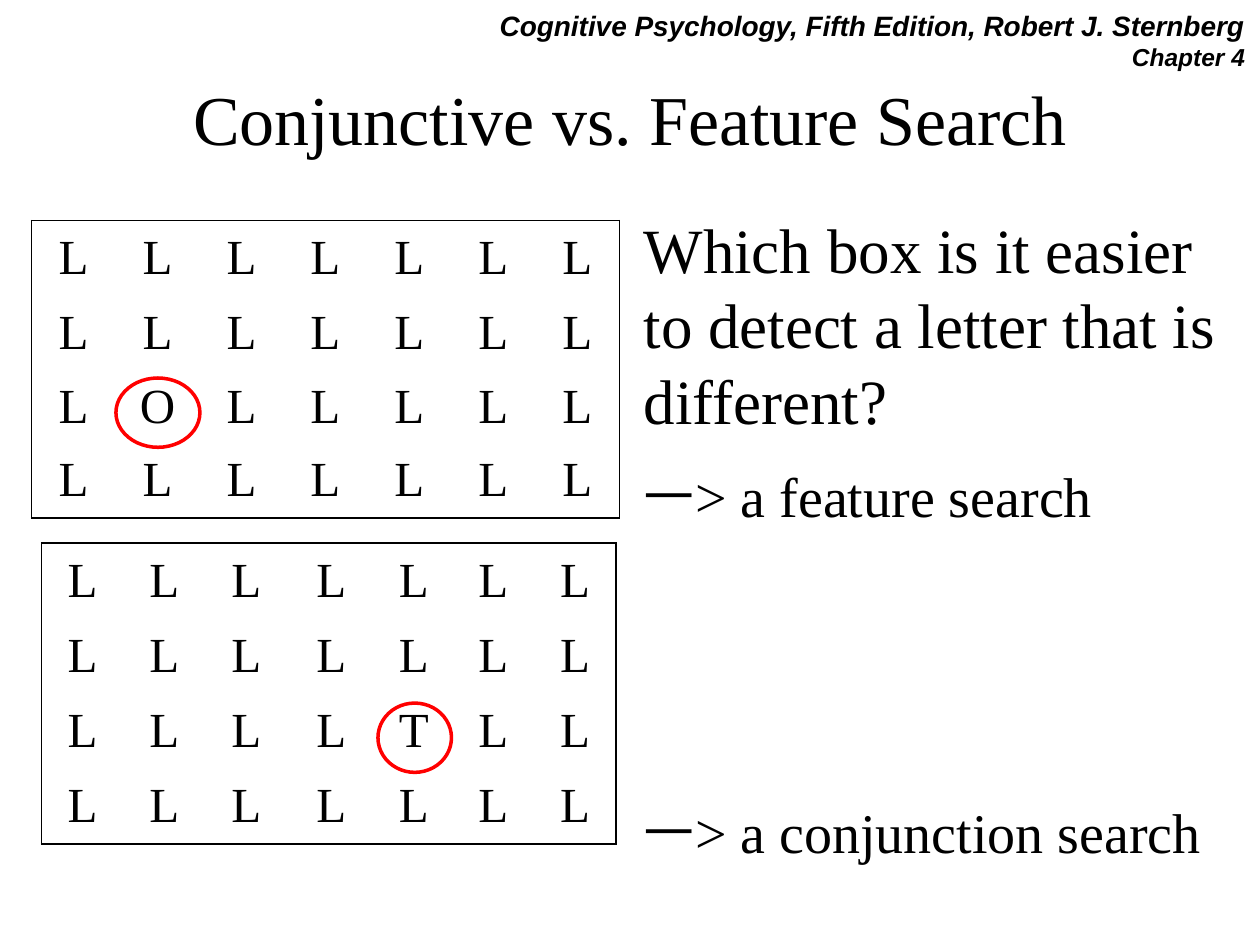
from lxml.etree import SubElement
from pptx import Presentation
from pptx.dml.color import RGBColor
from pptx.enum.shapes import MSO_SHAPE
from pptx.enum.text import MSO_ANCHOR, PP_ALIGN
from pptx.oxml.ns import qn
from pptx.util import Pt

THEME = {
    "ink": "000000", "ring": "FF0000",
    "serif": "Times New Roman", "sans": "Arial",
    "title": 40, "question": 36, "answer": 32, "letter": 28,
    "header": 16, "chapter": 14,
    "border": 1, "ring_width": 2, "leading": 1.2,
}

HEADER = [
    ("Cognitive Psychology, Fifth Edition, Robert J. Sternberg", "header"),
    ("Chapter 4", "chapter"),
]
TITLE = "Conjunctive vs. Feature Search"
DISCUSSION = [
    ("Which box is it easier to detect a letter that is different?", "question", 0),
    ("ㅡ> a feature search", "answer", 14),
    ("ㅡ> a conjunction search", "answer", 153.6),
]
SEARCH_BOXES = [
    {
        "letters": ["LLLLLLL", "LLLLLLL", "LLLLTLL", "LLLLLLL"],
        "left": 23.75, "top": 310.3,
        "columns": [46.8, 46.8, 46.8, 50.4, 43.9, 46.8, 46.8],
        "rows": [43] * 4,
        "ring": (216, 401.75, 42, 39.6),
    },
    {
        "letters": ["LLLLLLL", "LLLLLLL", "LOLLLLL", "LLLLLLL"],
        "left": 18, "top": 126,
        "columns": [48] * 7,
        "rows": [43, 43, 41, 43],
        "ring": (66.25, 216, 48, 39.6),
    },
]


def points(values):
    return [Pt(value) for value in values]


def style_paragraph(paragraph, text, size, family="serif", alignment=PP_ALIGN.LEFT):
    paragraph.text = text
    paragraph.alignment = alignment
    paragraph.font.name = THEME[family]
    paragraph.font.size = Pt(THEME[size])
    paragraph.font.color.rgb = RGBColor.from_string(THEME["ink"])


def fill_frame(frame, count, anchor=MSO_ANCHOR.TOP):
    frame.word_wrap = True
    frame.vertical_anchor = anchor
    for _ in range(count - 1):
        frame.add_paragraph()
    return frame.paragraphs


def add_header(slide):
    box = slide.shapes.add_textbox(*points((4.3, 1.4, 714.25, 48.25)))
    paragraphs = fill_frame(box.text_frame, len(HEADER))
    for paragraph, (text, size) in zip(paragraphs, HEADER):
        style_paragraph(paragraph, text, size, "sans", PP_ALIGN.RIGHT)
        paragraph.font.bold = paragraph.font.italic = True


def add_title(slide):
    box = slide.shapes.add_textbox(*points((54, 40.3, 612, 54)))
    paragraph = fill_frame(box.text_frame, 1, MSO_ANCHOR.MIDDLE)[0]
    style_paragraph(paragraph, TITLE, "title", alignment=PP_ALIGN.CENTER)


def add_discussion(slide):
    panel = slide.shapes.add_shape(
        MSO_SHAPE.ROUNDED_RECTANGLE, *points((341.3, 97.2, 397.4, 459.4)))
    panel.shadow.inherit = False
    panel.fill.background()
    panel.line.fill.background()
    paragraphs = fill_frame(panel.text_frame, len(DISCUSSION))
    for paragraph, (text, size, space) in zip(paragraphs, DISCUSSION):
        style_paragraph(paragraph, text, size)
        paragraph.line_spacing = Pt(THEME[size] * THEME["leading"])
        paragraph.space_before = Pt(space)


def set_border(cell, side, visible):
    properties = cell._tc.get_or_add_tcPr()
    line = SubElement(properties, qn(f"a:ln{side}"), w=str(Pt(THEME["border"])))
    if visible:
        fill = SubElement(line, qn("a:solidFill"))
        SubElement(fill, qn("a:srgbClr"), val=THEME["ink"])
    else:
        SubElement(line, qn("a:noFill"))


def add_search_box(slide, box):
    columns, rows = box["columns"], box["rows"]
    frame = slide.shapes.add_table(
        len(rows), len(columns),
        *points((box["left"], box["top"], sum(columns), sum(rows))))
    table = frame.table
    table.first_row = table.horz_banding = False
    for column, width in zip(table.columns, columns):
        column.width = Pt(width)
    for row, height in zip(table.rows, rows):
        row.height = Pt(height)
    for i, letters in enumerate(box["letters"]):
        for j, letter in enumerate(letters):
            cell = table.cell(i, j)
            cell.vertical_anchor = MSO_ANCHOR.MIDDLE
            style_paragraph(cell.text_frame.paragraphs[0], letter, "letter",
                            alignment=PP_ALIGN.CENTER)
            outer = {"L": j == 0, "R": j == len(columns) - 1,
                     "T": i == 0, "B": i == len(rows) - 1}
            for side, visible in outer.items():
                set_border(cell, side, visible)
            cell.fill.background()


def add_ring(slide, bounds):
    ring = slide.shapes.add_shape(MSO_SHAPE.OVAL, *points(bounds))
    ring.shadow.inherit = False
    ring.fill.background()
    ring.line.color.rgb = RGBColor.from_string(THEME["ring"])
    ring.line.width = Pt(THEME["ring_width"])


def main():
    """Build the slide comparing conjunctive and feature search."""
    presentation = Presentation()
    presentation.slide_width, presentation.slide_height = points((720, 540))
    slide = presentation.slides.add_slide(presentation.slide_layouts[6])
    add_header(slide)
    add_title(slide)
    for box in SEARCH_BOXES:
        add_search_box(slide, box)
    add_discussion(slide)
    for box in SEARCH_BOXES:
        add_ring(slide, box["ring"])
    presentation.save("out.pptx")


if __name__ == "__main__":
    main()
